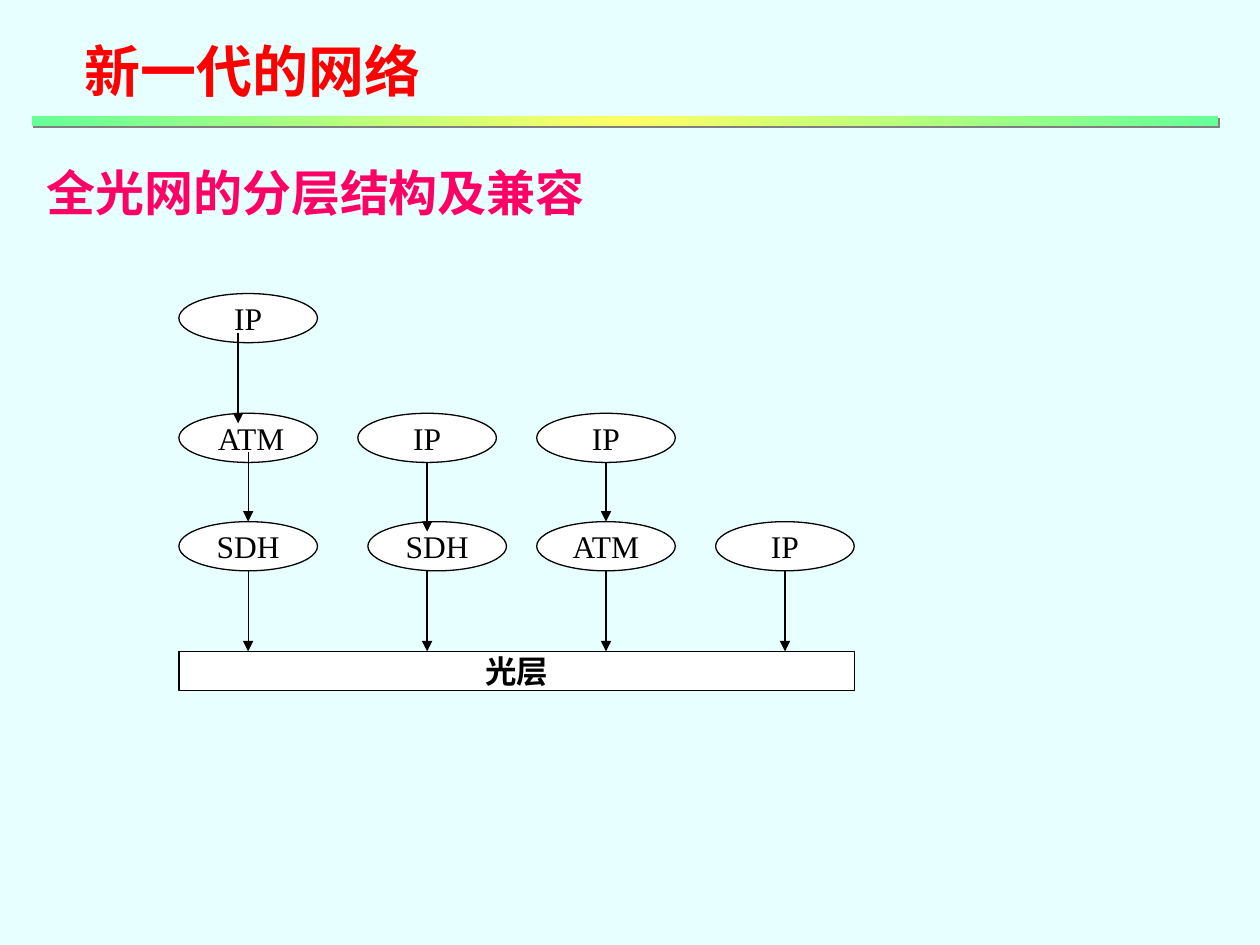
from dataclasses import dataclass

from lxml import etree
from pptx import Presentation
from pptx.dml.color import RGBColor
from pptx.enum.shapes import MSO_CONNECTOR, MSO_SHAPE
from pptx.enum.text import MSO_ANCHOR, MSO_AUTO_SIZE, PP_ALIGN
from pptx.oxml import parse_xml
from pptx.oxml.ns import nsdecls, qn
from pptx.util import Inches, Pt

OVAL, RECT = MSO_SHAPE.OVAL, MSO_SHAPE.RECTANGLE
STRAIGHT = MSO_CONNECTOR.STRAIGHT
CENTER, LEFT = PP_ALIGN.CENTER, PP_ALIGN.LEFT
MIDDLE, TOP = MSO_ANCHOR.MIDDLE, MSO_ANCHOR.TOP
FIT_TEXT = MSO_AUTO_SIZE.SHAPE_TO_FIT_TEXT


@dataclass(frozen=True)
class Theme:
    font: str = "Times New Roman"
    background: str = "E7FFFF"
    title: str = "FF0000"
    subtitle: str = "FF0066"
    ink: str = "000000"
    node: str = "FFFFFF"
    bar_edge: str = "66FF99"
    bar_middle: str = "FFFF66"
    bar_shadow: str = "808080"
    title_size: int = 32
    subtitle_size: int = 28
    label_size: int = 18
    line_width: float = 0.75


class SlideBuilder:
    def __init__(self, slide, theme):
        self.slide, self.theme = slide, theme
        fill = slide.background.fill
        fill.solid()
        fill.fore_color.rgb = RGBColor.from_string(theme.background)

    def set_text(self, frame, text, size, color, bold, align, anchor):
        frame.vertical_anchor = anchor
        paragraph = frame.paragraphs[0]
        paragraph.text = text
        paragraph.alignment = align
        font = paragraph.font
        font.name, font.size, font.bold = self.theme.font, Pt(size), bold
        font.color.rgb = RGBColor.from_string(color)
        return paragraph

    def heading(self, box, text, size, color, wrap, spacing=1.0):
        frame = self.slide.shapes.add_textbox(*map(Inches, box)).text_frame
        frame.word_wrap = wrap
        frame.auto_size = FIT_TEXT
        paragraph = self.set_text(frame, text, size, color, True, LEFT, TOP)
        paragraph.line_spacing = spacing

    def gradient_bar(self, box):
        theme = self.theme
        bar = self.slide.shapes.add_shape(RECT, *map(Inches, box))
        bar.line.fill.background()
        stops = ((0, theme.bar_edge), (50, theme.bar_middle), (100, theme.bar_edge))
        stop_xml = "".join(
            f'<a:gs pos="{pos * 1000}"><a:srgbClr val="{color}"/></a:gs>'
            for pos, color in stops
        )
        properties = bar._element.spPr
        properties.find(qn("a:prstGeom")).addnext(parse_xml(
            f'<a:gradFill {nsdecls("a")}><a:gsLst>{stop_xml}</a:gsLst>'
            '<a:lin ang="0" scaled="0"/></a:gradFill>'
        ))
        properties.append(parse_xml(
            f'<a:effectLst {nsdecls("a")}>'
            f'<a:outerShdw dist="{Pt(1.4)}" dir="2700000" algn="ctr" rotWithShape="0">'
            f'<a:srgbClr val="{theme.bar_shadow}"/></a:outerShdw></a:effectLst>'
        ))

    def node(self, kind, box, text, bold=False):
        theme = self.theme
        shape = self.slide.shapes.add_shape(kind, *map(Inches, box))
        shape.shadow.inherit = False
        shape.fill.solid()
        shape.fill.fore_color.rgb = RGBColor.from_string(theme.node)
        shape.line.color.rgb = RGBColor.from_string(theme.ink)
        shape.line.width = Pt(theme.line_width)
        shape.text_frame.word_wrap = False
        self.set_text(shape.text_frame, text, theme.label_size, theme.ink,
                      bold, CENTER, MIDDLE)

    def down_arrow(self, x, top, bottom):
        arrow = self.slide.shapes.add_connector(
            STRAIGHT, *map(Inches, (x, top, x, bottom)))
        arrow.line.color.rgb = RGBColor.from_string(self.theme.ink)
        arrow.line.width = Pt(self.theme.line_width)
        outline = arrow._element.spPr.find(qn("a:ln"))
        etree.SubElement(outline, qn("a:tailEnd"), type="triangle")
        etree.SubElement(arrow._element.spPr, qn("a:effectLst"))


# Layer grid: columns are protocol stacks, rows are levels above the optical layer
NODE_W, NODE_H = 1.1, 0.39
COLUMNS = [1.42 + 1.42 * i for i in range(4)]
ROWS = [2.33, 3.28, 4.14]
OPTICAL_TOP = 5.17
SHIFT = 0.08  # slight offsets of one node and three arrows

# (column, row, label, shift to the right)
PROTOCOLS = [
    (0, 0, "IP", 0), (0, 1, " ATM", 0), (0, 2, "SDH", 0),
    (1, 1, "IP", 0), (1, 2, "SDH", SHIFT),
    (2, 1, "IP", 0), (2, 2, "ATM", 0),
    (3, 2, "IP", 0),
]
# (column, row it leaves, shift of x, shift of start, shift of end)
ARROWS = [
    (0, 0, -SHIFT, -SHIFT, SHIFT), (0, 1, 0, -SHIFT, 0), (0, 2, 0, 0, 0),
    (1, 1, 0, 0, SHIFT), (1, 2, 0, 0, 0),
    (2, 1, 0, 0, 0), (2, 2, 0, 0, 0),
    (3, 2, 0, 0, 0),
]


def main():
    theme = Theme()
    deck = Presentation()
    deck.slide_width, deck.slide_height = Inches(10), Inches(7.5)
    page = SlideBuilder(deck.slides.add_slide(deck.slide_layouts[6]), theme)

    # Headings and divider
    page.gradient_bar((0.25, 0.92, 9.42, 0.08))
    page.heading((0.57, 0.24, 2.87, 0.64), "新一代的网络",
                 theme.title_size, theme.title, wrap=False)
    page.heading((0.27, 1.15, 9.29, 0.66), "全光网的分层结构及兼容",
                 theme.subtitle_size, theme.subtitle, wrap=True, spacing=1.2)

    # Protocol stacks
    for column, row, label, shift in PROTOCOLS:
        page.node(OVAL, (COLUMNS[column] + shift, ROWS[row], NODE_W, NODE_H), label)

    # Optical layer under all stacks
    optical_width = COLUMNS[-1] + NODE_W - COLUMNS[0]
    page.node(RECT, (COLUMNS[0], OPTICAL_TOP, optical_width, 0.31), "光层", bold=True)

    # Arrows down to the next layer
    landings = ROWS[1:] + [OPTICAL_TOP]
    for column, row, x_shift, start_shift, end_shift in ARROWS:
        page.down_arrow(COLUMNS[column] + NODE_W / 2 + x_shift,
                        ROWS[row] + NODE_H + start_shift,
                        landings[row] + end_shift)

    deck.save("out.pptx")


if __name__ == "__main__":
    main()
